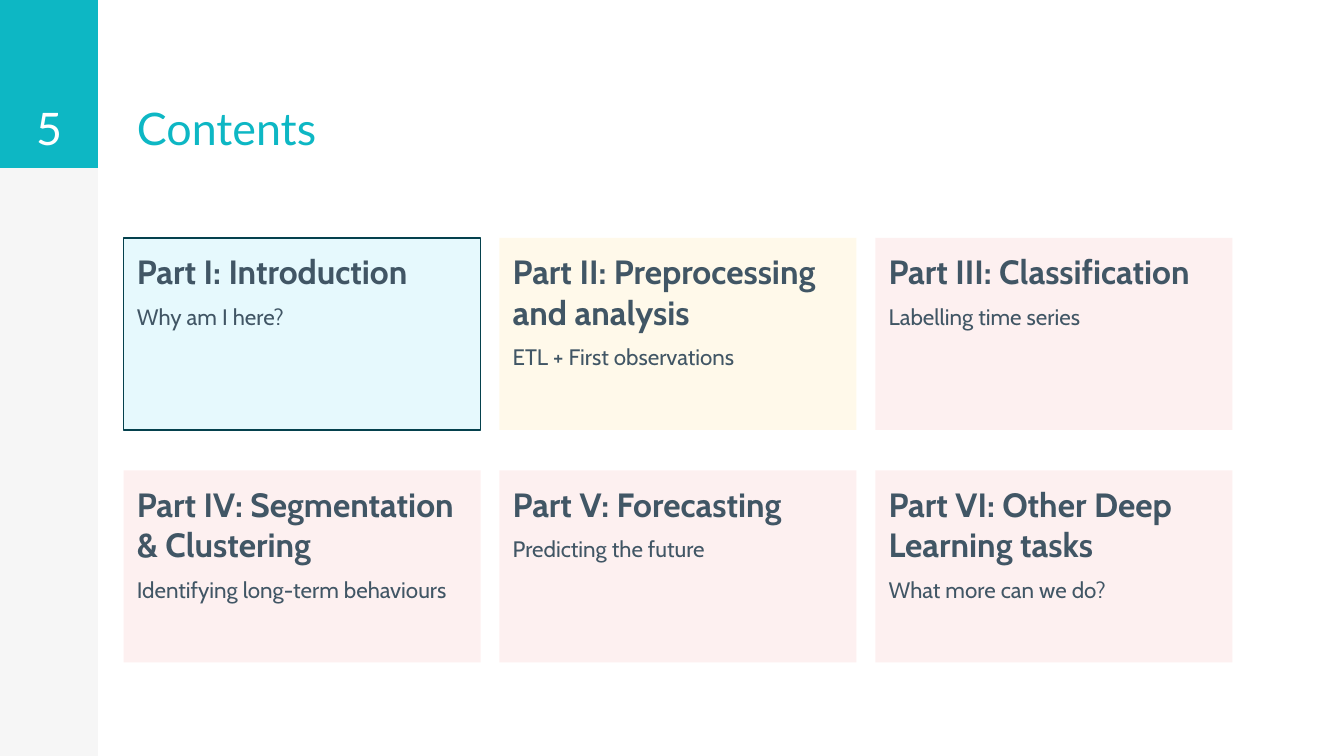
from lxml import etree
from pptx import Presentation
from pptx.dml.color import RGBColor
from pptx.enum.shapes import MSO_SHAPE
from pptx.enum.text import MSO_ANCHOR, PP_ALIGN
from pptx.oxml.ns import qn
from pptx.util import Inches, Pt

RECT = MSO_SHAPE.RECTANGLE
TOP, BOTTOM = MSO_ANCHOR.TOP, MSO_ANCHOR.BOTTOM
LEFT, CENTER = PP_ALIGN.LEFT, PP_ALIGN.CENTER

WIDE = 10
HIGH = WIDE * 9 / 16
SIDE, HEAD = 0.73, 1.25
TEAL, GREY, SLATE, WHITE = "0DB7C4", "F6F6F6", "415665", "FFFFFF"
BLUE, CREAM, PINK, EDGE = "C2F2FC", "FFF2CC", "FCDADA", "04414D"
COLS, ROWS = 3, 2
GAP_X, GAP_Y = 0.14, 0.3

PARTS = [
    ("Part I: Introduction", "Why am I here?", BLUE, EDGE),
    ("Part II: Preprocessing and analysis", "ETL + First observations", CREAM, None),
    ("Part III: Classification", "Labelling time series", PINK, None),
    ("Part IV: Segmentation & Clustering", "Identifying long-term behaviours", PINK, None),
    ("Part V: Forecasting", "Predicting the future", PINK, None),
    ("Part VI: Other Deep Learning tasks", "What more can we do?", PINK, None),
]


def color(code):
    return RGBColor.from_string(code)


def add_rect(slide, box, fill, edge=None, alpha=None):
    shape = slide.shapes.add_shape(RECT, *map(Inches, box))
    shape.shadow.inherit = False
    shape.fill.solid()
    shape.fill.fore_color.rgb = color(fill)
    if alpha:
        tint = shape.fill._xPr.find(f"{qn('a:solidFill')}/{qn('a:srgbClr')}")
        etree.SubElement(tint, qn("a:alpha"), val=str(alpha * 1000))
    if edge:
        shape.line.color.rgb = color(edge)
        shape.line.width = Pt(0.75)
    else:
        shape.line.fill.background()
    return shape


def set_frame(shape, text, anchor, align=LEFT):
    frame = shape.text_frame
    frame.word_wrap = True
    frame.vertical_anchor = anchor
    frame.margin_left = frame.margin_right = Inches(0.1)
    frame.margin_top = frame.margin_bottom = Inches(0.1)
    frame.text = text
    for para in frame.paragraphs:
        para.alignment = align
    return frame.paragraphs


def set_font(para, name, size, code, bold=False):
    for run in para.runs:
        run.font.name = name
        run.font.size = Pt(size)
        run.font.bold = bold
        run.font.color.rgb = color(code)


def add_side(slide, box, number):
    """Draw the grey side strip, the teal block and the page number."""
    left, top, width, _ = box
    block = (left, top, width, HEAD)
    add_rect(slide, box, GREY)
    add_rect(slide, block, TEAL)
    label = slide.shapes.add_textbox(*map(Inches, block))
    para, = set_frame(label, number, BOTTOM, CENTER)
    set_font(para, "Lato", 24, WHITE)


def add_title(slide, box, text):
    label = slide.shapes.add_textbox(*map(Inches, box))
    para, = set_frame(label, text, BOTTOM)
    set_font(para, "Lato", 24, TEAL)


def add_card(slide, box, head, note, fill, edge):
    card = add_rect(slide, box, fill, edge, alpha=40)
    first, second = set_frame(card, f"{head}\n{note}", TOP)
    set_font(first, "Cabin", 18, SLATE, bold=True)
    set_font(second, "Cabin", 12, SLATE)
    second.space_before = Pt(6)


def add_cards(slide, box, parts):
    left, top, width, height = box
    wide = (width - GAP_X * (COLS - 1)) / COLS
    high = (height - GAP_Y * (ROWS - 1)) / ROWS
    for i, part in enumerate(parts):
        row, col = divmod(i, COLS)
        x = left + col * (wide + GAP_X)
        y = top + row * (high + GAP_Y)
        add_card(slide, (x, y, wide, high), *part)


def main():
    deck = Presentation()
    deck.slide_width, deck.slide_height = Inches(WIDE), Inches(HIGH)
    slide = deck.slides.add_slide(deck.slide_layouts[6])
    add_side(slide, (0, 0, SIDE, HIGH), "5")
    add_title(slide, (0.92, 0, 3.89, HEAD), "Contents")
    add_cards(slide, (0.92, 1.77, 8.25, 3.16), PARTS)
    deck.save("out.pptx")


if __name__ == "__main__":
    main()
